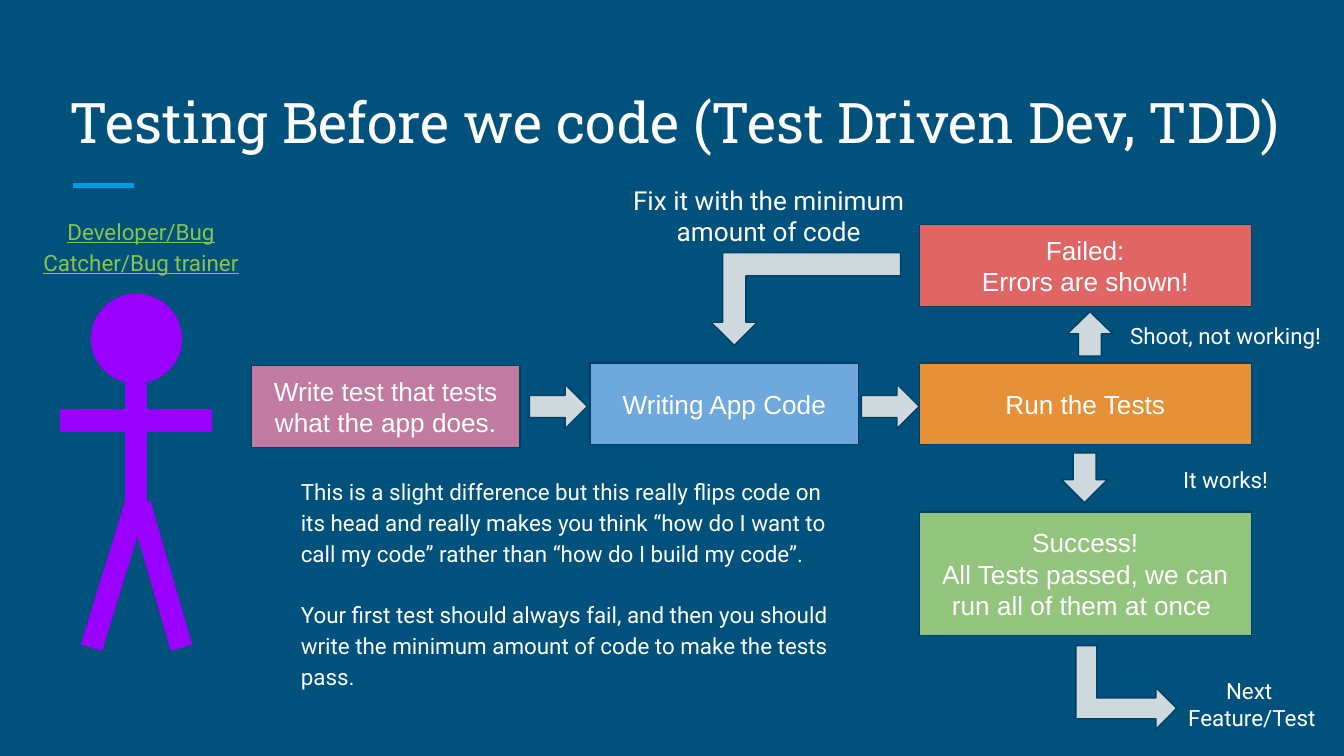
import pptx
import pptx.util
import pptx.dml.color
import pptx.enum.shapes
import pptx.enum.text
import pptx.oxml.xmlchemy

Inches = pptx.util.Inches
Pt = pptx.util.Pt
SHAPE = pptx.enum.shapes.MSO_SHAPE
ANCHOR = pptx.enum.text.MSO_ANCHOR
ALIGN = pptx.enum.text.PP_ALIGN

COLORS = {
    "background": "00517C",
    "accent": "039BE5",
    "text": "FFFFFF",
    "role": "8BC34A",
    "figure": "9900FF",
    "outline": "004065",
    "arrow": "CFD8DC",
    "write_test": "C27BA0",
    "write_code": "6FA8DC",
    "run": "E69138",
    "failed": "E06666",
    "success": "93C47D",
}
FRAME_FORMAT = {
    "word_wrap": True,
    "margin_left": Inches(0.1),
    "margin_top": Inches(0.1),
    "margin_right": Inches(0.1),
    "margin_bottom": Inches(0.1),
}
BODY_FORMAT = {"line_spacing": 1.15}
OUTCOME_LEFT, OUTCOME_WIDTH = 6.84, 2.47
STEP_WIDTH, STEP_HEIGHT = 2, 0.61


def rgb(name):
    return pptx.dml.color.RGBColor.from_string(COLORS[name])


def apply(target, values):
    for attribute, value in values.items():
        setattr(target, attribute, value)


def write(frame, paragraphs, size, font="Roboto", color="text",
          anchor=ANCHOR.TOP, paragraph_format=None, font_format=None):
    """Fill a text frame; a newline inside a paragraph is a line break."""
    apply(frame, {**FRAME_FORMAT, "vertical_anchor": anchor})
    for index, wording in enumerate(paragraphs):
        paragraph = frame.add_paragraph() if index else frame.paragraphs[0]
        paragraph.text = wording
        apply(paragraph, paragraph_format or {})
        for run in paragraph.runs:
            apply(run.font, {"name": font, "size": Pt(size), **(font_format or {})})
            run.font.color.rgb = rgb(color)


def add_text(slide, box, paragraphs, size, **options):
    label = slide.shapes.add_textbox(*map(Inches, box))
    write(label.text_frame, paragraphs, size, **options)


def add_solid(slide, preset, box, fill, outline="outline", rotation=0):
    solid = slide.shapes.add_shape(preset, *map(Inches, box))
    solid.shadow.inherit = False
    solid.rotation = rotation
    solid.fill.solid()
    solid.fill.fore_color.rgb = rgb(fill)
    solid.line.color.rgb = rgb(outline)
    solid.line.width = Pt(0.75)
    return solid


def add_step(slide, box, wording, fill):
    step = add_solid(slide, SHAPE.RECTANGLE, box, fill)
    write(step.text_frame, [wording], 14, font="Arial", anchor=ANCHOR.MIDDLE,
          paragraph_format={"alignment": ALIGN.CENTER})


def add_stroke(slide, ends, color, width):
    stroke = slide.shapes.add_connector(
        pptx.enum.shapes.MSO_CONNECTOR.STRAIGHT, *map(Inches, ends))
    stroke.line.color.rgb = rgb(color)
    stroke.line.width = Pt(width)
    stroke._element.spPr.append(pptx.oxml.xmlchemy.OxmlElement("a:effectLst"))


def add_developer(slide):
    """Stick figure: head, then trunk, legs and arms."""
    add_solid(slide, SHAPE.OVAL, (0.68, 2.19, 0.67, 0.66), "figure", "figure")
    for limb in [
        (1.01, 2.85, 1.01, 3.77),
        (1.04, 3.75, 1.35, 4.82),
        (1.02, 3.72, 0.68, 4.82),
        (1.58, 3.13, 0.45, 3.13),
    ]:
        add_stroke(slide, limb, "figure", 12)


def add_flow(slide):
    for left, top, width, height, wording, fill in [
        (1.87, 2.72, STEP_WIDTH, STEP_HEIGHT,
         "Write test that tests what the app does.", "write_test"),
        (4.39, 2.7, STEP_WIDTH, STEP_HEIGHT, "Writing App Code", "write_code"),
        (OUTCOME_LEFT, 2.7, OUTCOME_WIDTH, STEP_HEIGHT, "Run the Tests", "run"),
        (OUTCOME_LEFT, 1.67, OUTCOME_WIDTH, STEP_HEIGHT,
         "Failed:\nErrors are shown!", "failed"),
        (OUTCOME_LEFT, 3.81, OUTCOME_WIDTH, 0.92,
         "Success!\nAll Tests passed, we can run all of them at once ", "success"),
    ]:
        add_step(slide, (left, top, width, height), wording, fill)

    for preset, box, rotation in [
        (SHAPE.BENT_UP_ARROW, (5.29, 1.88, 1.41, 0.69), 180),
        (SHAPE.RIGHT_ARROW, (3.94, 2.86, 0.43, 0.33), 0),
        (SHAPE.RIGHT_ARROW, (6.41, 2.86, 0.43, 0.33), 0),
        (SHAPE.UP_ARROW, (7.94, 2.32, 0.34, 0.33), 0),
        (SHAPE.DOWN_ARROW, (7.9, 3.37, 0.34, 0.37), 0),
        (SHAPE.BENT_UP_ARROW, (8.07, 4.74, 0.62, 0.75), 90),
    ]:
        add_solid(slide, preset, box, "arrow", rotation=rotation)

    for box, wording, size in [
        ((4.6, 1.27, 2.24, 0.37), "Fix it with the minimum amount of code", 14),
        ((8, 2.3, 2.24, 0.37), "Shoot, not working!", 12),
        ((8, 3.37, 2.24, 0.37), "It works!", 12),
        ((8.71, 4.94, 1.21, 0.58), "Next \nFeature/Test", 12),
    ]:
        add_text(slide, box, [wording], size,
                 paragraph_format={"alignment": ALIGN.CENTER})


def main():
    deck = pptx.Presentation()
    slide_width = Inches(10)
    apply(deck, {"slide_width": slide_width, "slide_height": slide_width * 9 // 16})
    slide = deck.slides.add_slide(deck.slide_layouts[6])
    slide.background.fill.solid()
    slide.background.fill.fore_color.rgb = rgb("background")

    add_stroke(slide, (0.54, 1.38, 1, 1.38), "accent", 3)
    add_text(slide, (0.42, 0.5, 9.49, 0.75),
             ["Testing Before we code (Test Driven Dev, TDD)"], 30,
             font="Roboto Slab", anchor=ANCHOR.BOTTOM)
    add_developer(slide)
    add_flow(slide)
    add_text(slide, (2.14, 3.43, 4.27, 1.4), [
        "This is a slight difference but this really flips code on its head and "
        "really makes you think “how do I want to call my code” rather than "
        "“how do I build my code”.",
        "Your first test should always fail, and then you should write the "
        "minimum amount of code to make the tests pass.",
    ], 12, paragraph_format={**BODY_FORMAT, "space_before": Pt(16)})
    add_text(slide, (0.1, 1.49, 1.9, 0.62), ["Developer/Bug Catcher/Bug trainer"], 12,
             color="role", font_format={"underline": True},
             paragraph_format={**BODY_FORMAT, "alignment": ALIGN.CENTER})
    deck.save("out.pptx")


if __name__ == "__main__":
    main()
